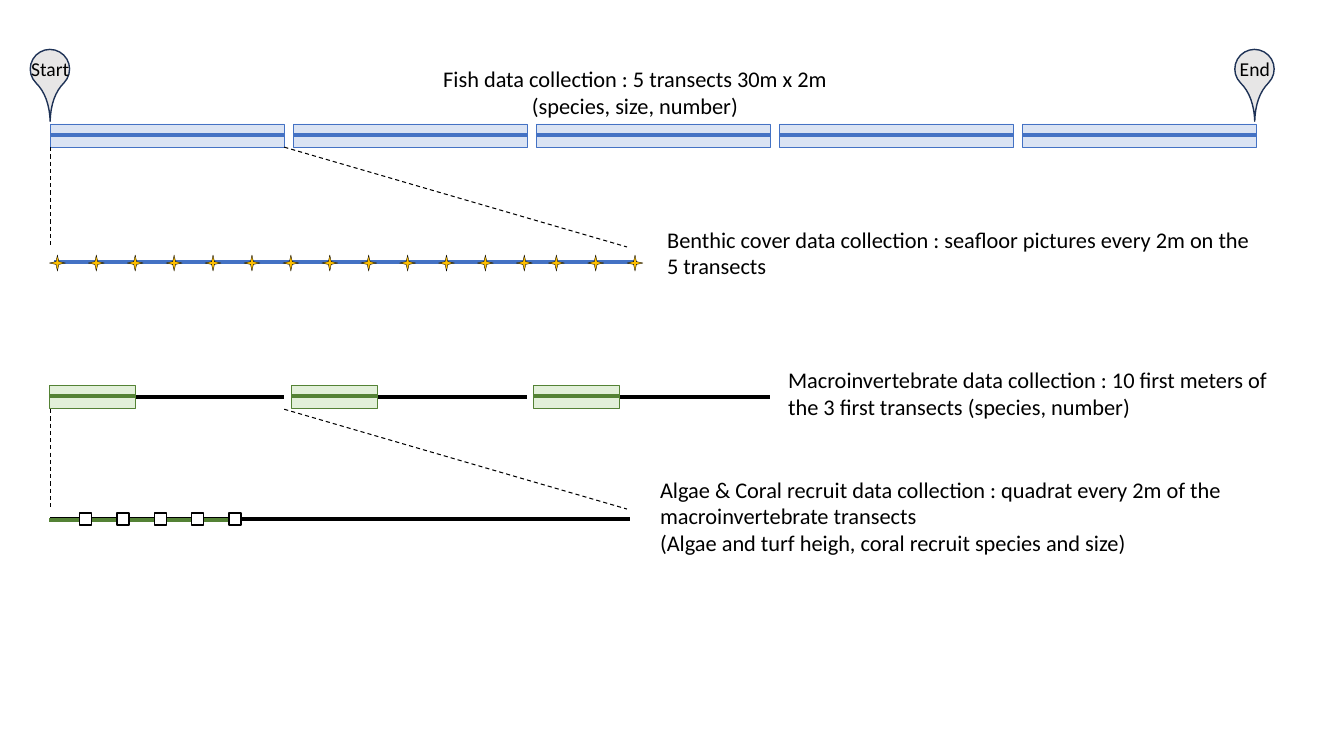
from dataclasses import dataclass

import pptx
import pptx.dml.color
import pptx.enum.dml
import pptx.enum.shapes
import pptx.enum.text
import pptx.oxml
import pptx.oxml.ns
import pptx.util

SHAPE = pptx.enum.shapes.MSO_SHAPE
ALIGN = pptx.enum.text.PP_ALIGN

# Grid: square cells, 10 columns and 10 rows to the inch
CELL = pptx.util.Inches(0.1)
COLUMNS, ROWS = 133.33, 75

BLACK, WHITE = "000000", "FFFFFF"
BLUE, PALE_BLUE = "4472C4", "DAE3F3"
GREEN, PALE_GREEN = "548235", "E2F0D9"
GOLD, GREY, NAVY = "FFC000", "E7E6E6", "1E3256"

# Columns and rows shared by the bands
START = 5
TRANSECT_LENGTH, TRANSECT_PITCH = 23.2, 24.1
STRIP_LENGTH, STRIP_PITCH = 8.5, 24
BAND_HEIGHT = 2.3


@dataclass
class Style:
    preset: SHAPE
    fill: str
    line: str
    weight: float


@dataclass
class Label:
    column: float
    row: float
    width: float
    height: float
    lines: list[str]
    size: int = 16
    align: ALIGN = ALIGN.LEFT


@dataclass
class Pin:
    column: float
    text_column: float
    text: str


FISH_BAND = Style(SHAPE.RECTANGLE, PALE_BLUE, BLUE, 0.5)
STRIP = Style(SHAPE.RECTANGLE, PALE_GREEN, GREEN, 0.5)
PHOTO = Style(SHAPE.STAR_4_POINT, GOLD, BLACK, 0.25)
QUADRAT = Style(SHAPE.RECTANGLE, WHITE, BLACK, 1)
MARKER = Style(SHAPE.TEAR, GREY, NAVY, 1)

PINS = [Pin(3, 2.1, "Start"), Pin(122.5, 122, "End")]

LABELS = [
    Label(41.8, 6, 42.4, 6.4,
          ["Fish data collection : 5 transects 30m x 2m", "(species, size, number)"],
          align=ALIGN.CENTER),
    Label(65.2, 21.9, 60.5, 6.4,
          ["Benthic cover data collection : seafloor pictures every 2m on the 5 transects"]),
    Label(77.2, 35.8, 50.2, 6.4,
          ["Macroinvertebrate data collection : 10 first meters of the 3 first transects "
           "(species, number)"]),
    Label(64.5, 46.7, 59, 9.1,
          ["Algae & Coral recruit data collection : quadrat every 2m of the "
           "macroinvertebrate transects",
           "(Algae and turf heigh, coral recruit species and size)"]),
]

presentation = pptx.Presentation()
presentation.slide_width = round(COLUMNS * CELL)
presentation.slide_height = ROWS * CELL
slide = presentation.slides.add_slide(presentation.slide_layouts[6])


def cells(*counts: float) -> list[int]:
    return [round(count * CELL) for count in counts]


def color(value: str) -> pptx.dml.color.RGBColor:
    return pptx.dml.color.RGBColor.from_string(value)


def add_figure(style: Style, column: float, row: float, width: float, height: float):
    figure = slide.shapes.add_shape(style.preset, *cells(column, row, width, height))
    figure.shadow.inherit = False
    figure.fill.solid()
    figure.fill.fore_color.rgb = color(style.fill)
    figure.line.color.rgb = color(style.line)
    figure.line.width = pptx.util.Pt(style.weight)
    return figure


def add_line(x1: float, y1: float, x2: float, y2: float, stroke: str,
             weight: float = 3, dashed: bool = False) -> None:
    line = slide.shapes.add_connector(
        pptx.enum.shapes.MSO_CONNECTOR.STRAIGHT, *cells(x1, y1, x2, y2))
    line.line.color.rgb = color(stroke)
    line.line.width = pptx.util.Pt(weight)
    if dashed:
        line.line.dash_style = pptx.enum.dml.MSO_LINE.DASH
    properties = line._element.spPr
    properties.append(pptx.oxml.parse_xml(
        f"<a:effectLst {pptx.oxml.ns.nsdecls('a')}/>"))


def add_label(label: Label) -> None:
    box = slide.shapes.add_textbox(
        *cells(label.column, label.row, label.width, label.height))
    frame = box.text_frame
    frame.word_wrap = True
    frame.auto_size = pptx.enum.text.MSO_AUTO_SIZE.SHAPE_TO_FIT_TEXT
    frame.text = "\n".join(label.lines)
    for paragraph in frame.paragraphs:
        paragraph.alignment = label.align
        for run in paragraph.runs:
            run.font.name = "Calibri"
            run.font.size = pptx.util.Pt(label.size)
            run.font.color.rgb = color(BLACK)


def add_zoom(top: float) -> None:
    """Dashed guides from the first transect down to its enlarged view."""
    for x1, x2 in [(START, START), (START + TRANSECT_LENGTH, 62.2)]:
        add_line(x1, top, x2, top + 9.9, BLACK, 0.75, dashed=True)


# Fish: five transects between the start and end pins
for index in range(5):
    left = START + index * TRANSECT_PITCH
    add_figure(FISH_BAND, left, 12.3, TRANSECT_LENGTH, BAND_HEIGHT)
    add_line(left, 13.4, left + TRANSECT_LENGTH, 13.4, BLUE)

for pin in PINS:
    marker = add_figure(MARKER, pin.column, 4.9, 3.9, 3.9)
    marker.rotation = 134.7
    marker.adjustments[0] = 1.878
    add_label(Label(pin.text_column, 5.2, 6.9, 3.4, [pin.text], size=14))

# Benthic cover: one star for each seafloor picture
add_zoom(14.6)
add_line(5.4, 26, 62.9, 26, BLUE)
photo_columns = [4.9 + 3.86 * step for step in range(13)]
photo_columns += [54.4 + 3.9 * step for step in range(3)]
for column in photo_columns:
    add_figure(PHOTO, column, 25.3, 1.6, 1.6)

# Macroinvertebrates: the first meters of three transects
for index in range(3):
    left = START + index * TRANSECT_PITCH
    add_line(left, 39.4, left + TRANSECT_LENGTH, 39.4, BLACK)
    left = 4.9 + index * STRIP_PITCH
    add_figure(STRIP, left, 38.2, STRIP_LENGTH, BAND_HEIGHT)
    add_line(left, 39.3, left + STRIP_LENGTH, 39.3, GREEN)

# Algae and coral recruits: five quadrats on the enlarged transect
add_zoom(40.6)
add_line(START, 51.5, 62.5, 51.5, BLACK)
add_line(4.9, 51.6, 23.7, 51.6, GREEN)
for index in range(5):
    add_figure(QUADRAT, 7.9 + 3.7 * index, 50.9, 1.2, 1.2)

# Descriptions
for label in LABELS:
    add_label(label)

presentation.save("out.pptx")
